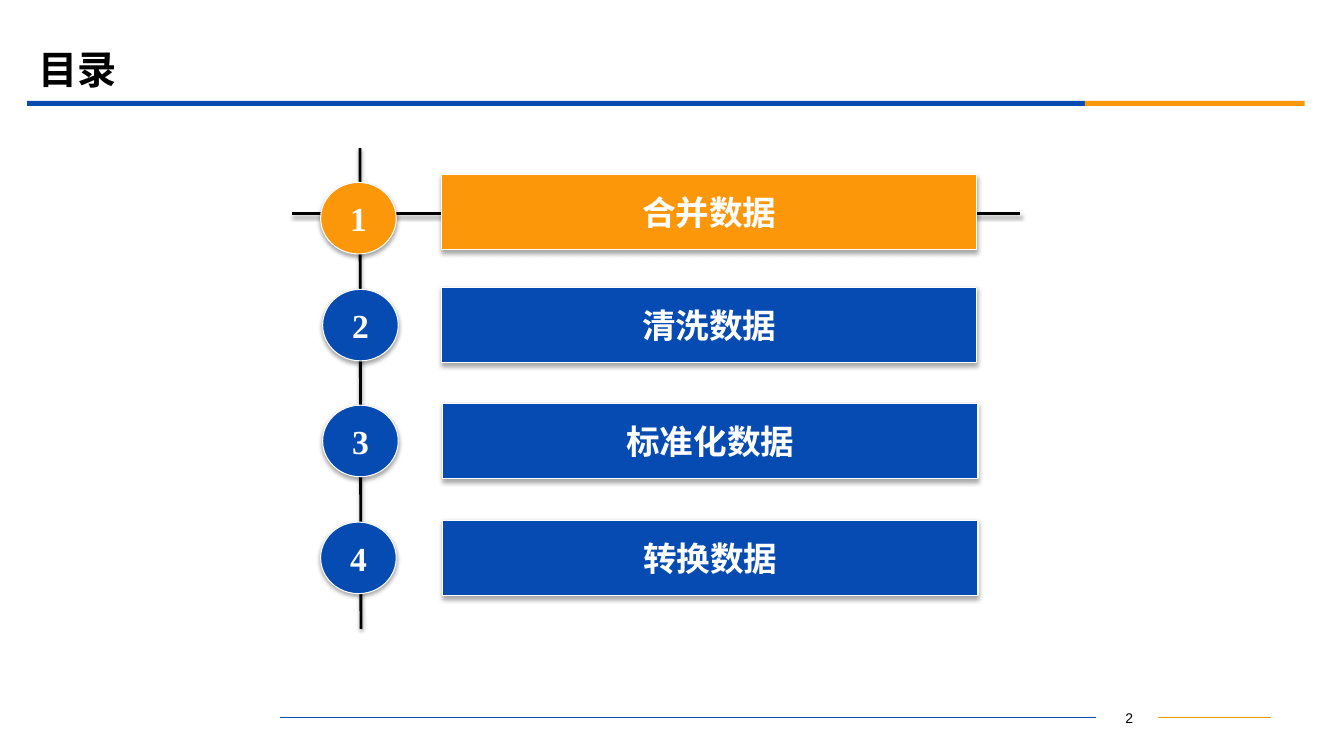
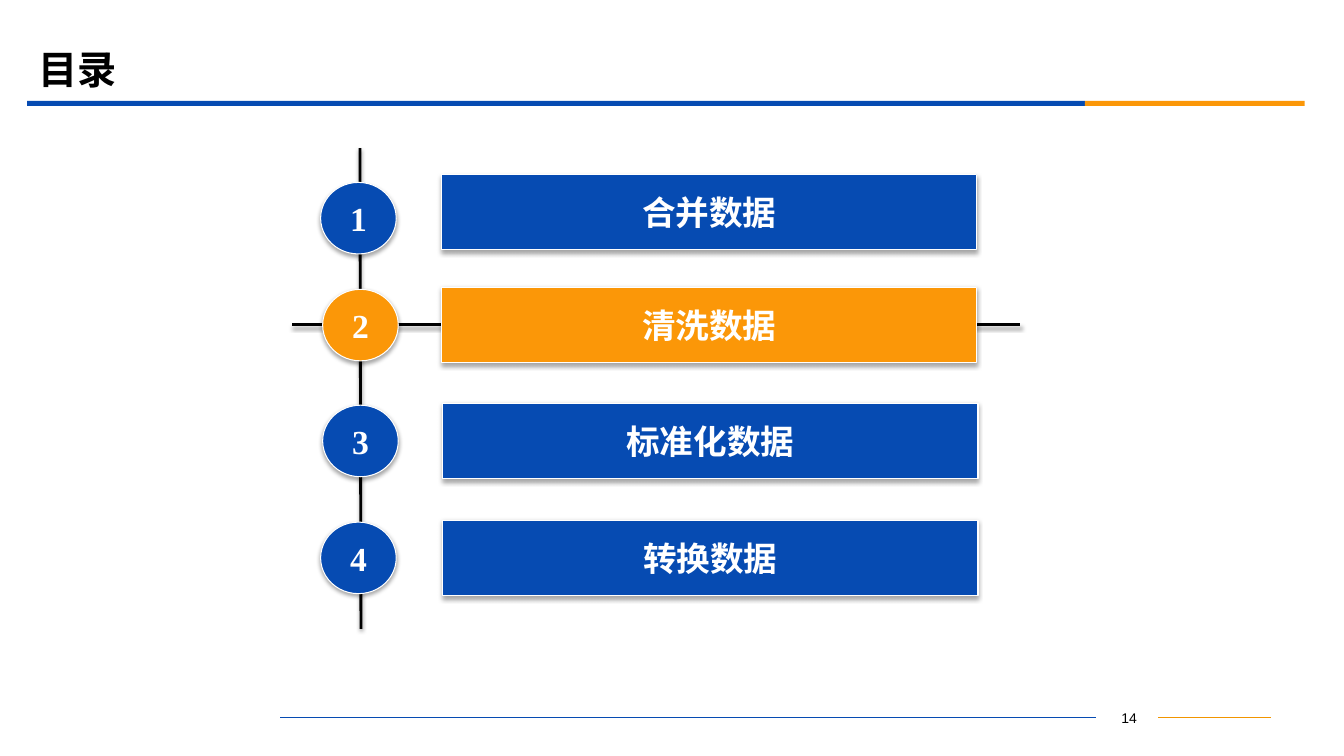
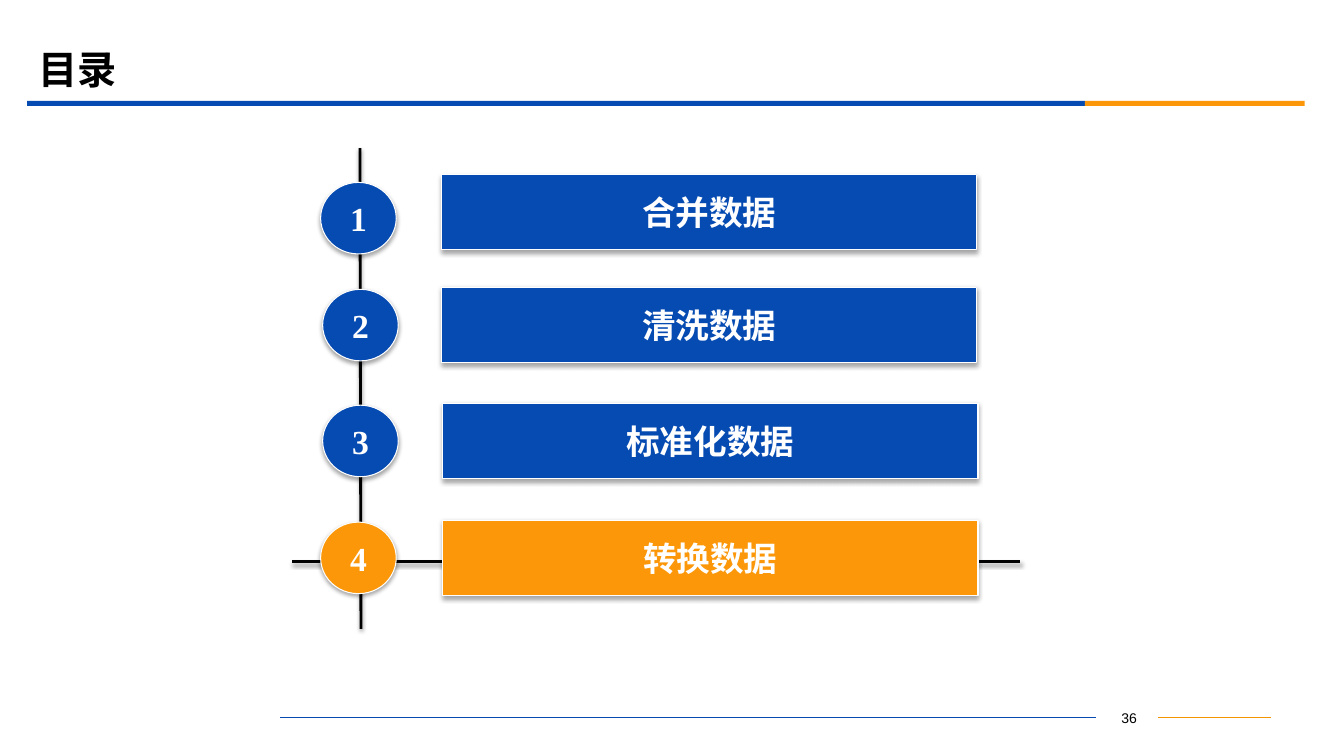
from typing import NamedTuple

from lxml.etree import SubElement
from pptx import Presentation
from pptx.dml.color import RGBColor
from pptx.enum.shapes import MSO_CONNECTOR, MSO_SHAPE as Kind
from pptx.enum.text import MSO_ANCHOR as Anchor, PP_ALIGN as Align
from pptx.oxml.ns import qn
from pptx.util import Pt

PX = 9144  # EMU in one px, 100 px to the inch

BLUE = RGBColor(0x06, 0x4B, 0xB2)
ORANGE = RGBColor(0xFB, 0x97, 0x08)
AMBER = RGBColor(0xF1, 0x95, 0x00)
WHITE = RGBColor(0xFF, 0xFF, 0xFF)
BLACK = RGBColor(0x00, 0x00, 0x00)
SERIF, SANS = "Times New Roman", "Arial"


class Box(NamedTuple):
    x: int
    y: int
    w: int
    h: int


class Row(NamedTuple):
    text: str
    bar: Box
    dot: Box


class Page(NamedTuple):
    number: int
    active: int
    cross: int


class Shade(NamedTuple):
    alpha: int
    blur: float
    dist: float


def row(text: str, bar_x: int, bar_y: int, dot_x: int, dot_y: int) -> Row:
    return Row(text, Box(bar_x, bar_y, 531, 75), Box(dot_x, dot_y, 75, 71))


ROWS = [
    row("合并数据", 438, 173, 318, 181),
    row("清洗数据", 438, 285, 320, 287),
    row("标准化数据", 439, 400, 320, 402),
    row("转换数据", 439, 516, 318, 518),
]
PAGES = [Page(2, 1, 212), Page(14, 2, 322), Page(36, 4, 557)]
SHAPE_SHADE = Shade(35, 3.1, 1.8)
LINE_SHADE = Shade(38, 3.1, 1.6)


def emu(*sizes: int) -> list[int]:
    return [size * PX for size in sizes]


def cast(effects, shade: Shade) -> None:
    """Add a black shadow that falls straight down."""
    outer = SubElement(effects, qn("a:outerShdw"), blurRad=str(Pt(shade.blur)),
                       dist=str(Pt(shade.dist)), dir="5400000", rotWithShape="0")
    color = SubElement(outer, qn("a:srgbClr"), val=str(BLACK))
    SubElement(color, qn("a:alpha"), val=str(shade.alpha * 1000))


def write(shape, text: str, *, size: int, font: str = SERIF, color: RGBColor = BLACK,
          bold: bool = False, align: Align = Align.LEFT,
          anchor: Anchor = Anchor.MIDDLE, wrap: bool = True) -> None:
    frame = shape.text_frame
    frame.word_wrap, frame.vertical_anchor = wrap, anchor
    para = frame.paragraphs[0]
    para.alignment = align
    run = para.add_run()
    run.text = text
    face = run.font
    face.name, face.size, face.bold = font, Pt(size), bold
    face.color.rgb = color


def block(slide, kind: Kind, box: Box, fill: RGBColor):
    shape = slide.shapes.add_shape(kind, *emu(*box))
    shape.shadow.inherit = False
    shape.fill.solid()
    shape.fill.fore_color.rgb = fill
    shape.line.fill.background()
    return shape


def label(slide, kind: Kind, box: Box, fill: RGBColor, text: str) -> None:
    """Draw a filled shape with a white edge, a shadow and a white caption."""
    shape = block(slide, kind, box, fill)
    shape.line.color.rgb = WHITE
    shape.line.width = Pt(0.75)
    cast(shape._element.spPr.find(qn("a:effectLst")), SHAPE_SHADE)
    write(shape, text, size=24, color=WHITE, bold=True, align=Align.CENTER, wrap=False)


def rule(slide, x1: int, y1: int, x2: int, y2: int, color: RGBColor,
         width: float, shade: Shade | None = None) -> None:
    line = slide.shapes.add_connector(MSO_CONNECTOR.STRAIGHT, *emu(x1, y1, x2, y2))
    line.line.color.rgb = color
    line.line.width = Pt(width)
    effects = SubElement(line._element.spPr, qn("a:effectLst"))
    if shade:
        cast(effects, shade)


def frame(slide, title: str, number: int) -> None:
    """Draw the title, the band under it and the footer."""
    block(slide, Kind.RECTANGLE, Box(27, 100, 1049, 5), BLUE)
    block(slide, Kind.RECTANGLE, Box(1076, 100, 218, 5), ORANGE)
    folio = slide.shapes.add_textbox(*emu(1087, 699, 62, 25))
    write(folio, f" {number}", size=10, font=SANS, align=Align.CENTER, anchor=Anchor.TOP)
    rule(slide, 1149, 712, 1261, 712, AMBER, 0.75)
    rule(slide, 278, 712, 1087, 712, BLUE, 0.75)
    head = slide.shapes.add_textbox(*emu(28, 39, 1200, 58))
    write(head, title, size=28, bold=True)


def agenda(slide, page: Page) -> None:
    rule(slide, 357, 147, 358, 624, BLACK, 2, LINE_SHADE)
    rule(slide, 290, page.cross, 1012, page.cross, BLACK, 2, LINE_SHADE)
    for index, item in enumerate(ROWS, 1):
        fill = ORANGE if index == page.active else BLUE
        label(slide, Kind.ACTION_BUTTON_CUSTOM, item.bar, fill, item.text)
        label(slide, Kind.OVAL, item.dot, fill, str(index))


def main() -> None:
    deck = Presentation()
    deck.slide_width, deck.slide_height = emu(1333, 750)
    for page in PAGES:
        slide = deck.slides.add_slide(deck.slide_layouts[6])
        frame(slide, "目录", page.number)
        agenda(slide, page)
    deck.save("out.pptx")


if __name__ == "__main__":
    main()
